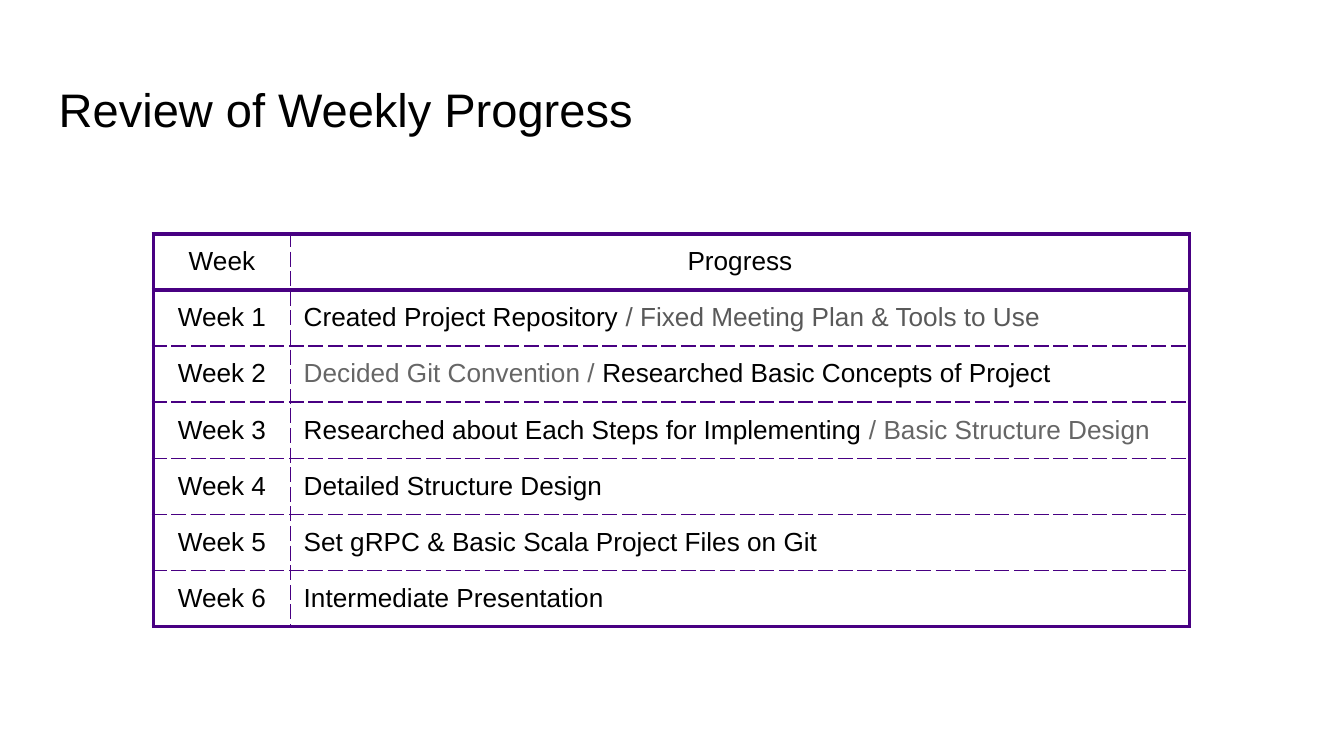
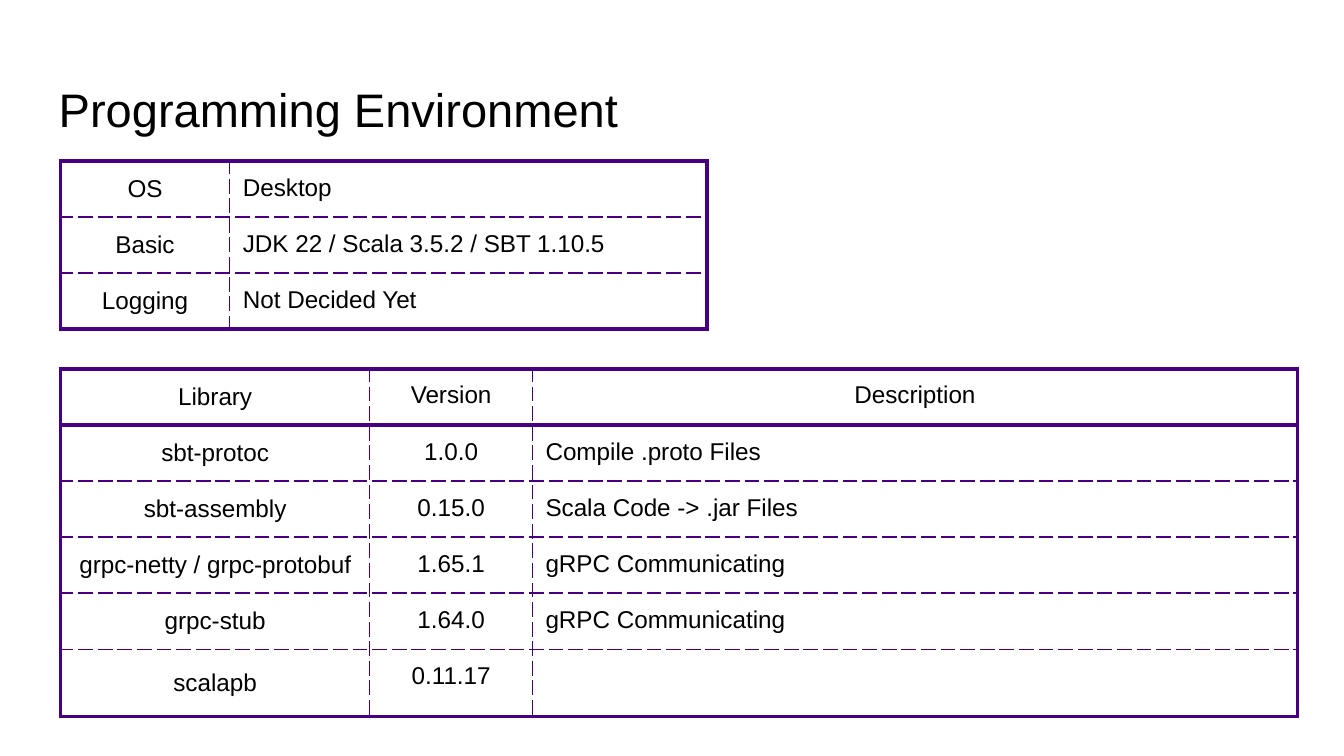
from lxml.etree import SubElement
from pptx import Presentation
from pptx.dml.color import RGBColor
from pptx.enum.text import MSO_ANCHOR, MSO_AUTO_SIZE, PP_ALIGN
from pptx.oxml.ns import qn
from pptx.util import Cm, Pt

BLACK = RGBColor(0x00, 0x00, 0x00)
DARK_GRAY = RGBColor(0x59, 0x59, 0x59)
GRAY = RGBColor(0x66, 0x66, 0x66)
PURPLE = RGBColor(0x48, 0x00, 0x82)

TITLE_ONLY = 5
INSET = Cm(0.25)
ROW_HEIGHT = Cm(1.06)
SOLID = (Pt(2.25), "solid")
DASHED = (Pt(0.75), "dash")

TITLE_PLACE = {"left": Cm(0.86), "top": Cm(1.24), "width": Cm(23.67), "height": Cm(1.6)}
CELL_FRAME = {
    "margin_left": INSET, "margin_right": INSET, "margin_top": INSET, "margin_bottom": INSET,
}
TITLE_FRAME = {
    **CELL_FRAME,
    "word_wrap": True, "auto_size": MSO_AUTO_SIZE.NONE, "vertical_anchor": MSO_ANCHOR.BOTTOM,
}

WEEKLY_PROGRESS = [
    ["Week", "Progress"],
    ["Week 1", [("Created Project Repository", BLACK),
                (" / Fixed Meeting Plan & Tools to Use", DARK_GRAY)]],
    ["Week 2", [("Decided Git Convention / ", GRAY),
                ("Researched Basic Concepts of Project", BLACK)]],
    ["Week 3", [("Researched about Each Steps for Implementing ", BLACK),
                ("/ Basic Structure Design", GRAY)]],
    ["Week 4", "Detailed Structure Design"],
    ["Week 5", "Set gRPC & Basic Scala Project Files on Git"],
    ["Week 6", "Intermediate Presentation"],
]
ENVIRONMENT = [
    ["OS", "Desktop"],
    ["Basic", "JDK 22 / Scala 3.5.2 / SBT 1.10.5"],
    ["Logging", "Not Decided Yet"],
]
LIBRARIES = [
    ["Library", "Version", "Description"],
    ["sbt-protoc", "1.0.0", "Compile .proto Files"],
    ["sbt-assembly", "0.15.0", "Scala Code -> .jar Files"],
    ["grpc-netty / grpc-protobuf", "1.65.1", "gRPC Communicating"],
    ["grpc-stub", "1.64.0", "gRPC Communicating"],
    ["scalapb", "0.11.17", ""],
]


def apply(target, values):
    for name, value in values.items():
        setattr(target, name, value)


class Deck:
    def __init__(self):
        self.presentation = Presentation()
        apply(self.presentation, {"slide_width": Cm(25.4), "slide_height": Cm(14.29)})
        self.slide = None

    def new_slide(self, title):
        layout = self.presentation.slide_layouts[TITLE_ONLY]
        self.slide = self.presentation.slides.add_slide(layout)
        heading = self.slide.shapes.title
        apply(heading, TITLE_PLACE)
        apply(heading.text_frame, TITLE_FRAME)
        self.add_text(heading.text_frame, title, 25.2, PP_ALIGN.LEFT)

    def add_text(self, frame, content, size, alignment):
        """Fill the first paragraph with a string or with (text, colour) pieces."""
        paragraph = frame.paragraphs[0]
        paragraph.alignment = alignment
        pieces = [(content, BLACK)] if isinstance(content, str) else content
        for text, color in pieces:
            if text:
                run = paragraph.add_run()
                run.text = text
                apply(run.font, {"name": "Arial", "size": Pt(size), "bold": False})
                run.font.color.rgb = color

    def border(self, cell, edges):
        properties = cell._tc.get_or_add_tcPr()
        for side in ("L", "R", "T", "B"):
            width, dash = edges[side]
            line = SubElement(properties, qn(f"a:ln{side}"), w=str(int(width)))
            fill = SubElement(line, qn("a:solidFill"))
            SubElement(fill, qn("a:srgbClr"), val=str(PURPLE))
            SubElement(line, qn("a:prstDash"), val=dash)

    def table(self, rows, left, top, widths, size, label_anchor, header=True, centered=1):
        """Draw a framed table; the first `centered` columns and the header are centred."""
        last_row, last_column = len(rows) - 1, len(widths) - 1
        grid = self.slide.shapes.add_table(
            len(rows), len(widths), left, top, sum(widths), ROW_HEIGHT * len(rows)).table
        apply(grid, {"first_row": header, "horz_banding": False})
        for column, width in zip(grid.columns, widths):
            column.width = width
        for r, row in enumerate(rows):
            for c, content in enumerate(row):
                cell = grid.cell(r, c)
                heading = header and r == 0
                self.border(cell, {
                    "L": SOLID if c == 0 else DASHED,
                    "R": SOLID if c == last_column else DASHED,
                    "T": SOLID if r == 0 or (header and r == 1) else DASHED,
                    "B": SOLID if r == last_row or heading else DASHED,
                })
                cell.fill.background()
                apply(cell, CELL_FRAME)
                cell.vertical_anchor = label_anchor if c == 0 else MSO_ANCHOR.TOP
                alignment = PP_ALIGN.CENTER if heading or c < centered else PP_ALIGN.LEFT
                self.add_text(cell.text_frame, content, size, alignment)


def main():
    deck = Deck()

    deck.new_slide("Review of Weekly Progress")
    deck.table(WEEKLY_PROGRESS, Cm(2.9), Cm(4.42), [Cm(2.59), Cm(16.99)], 14, MSO_ANCHOR.TOP)

    deck.new_slide("Programming Environment")
    deck.table(ENVIRONMENT, Cm(1.14), Cm(3.04), [Cm(3.2), Cm(9.02)], 13,
               MSO_ANCHOR.MIDDLE, header=False)
    deck.table(LIBRARIES, Cm(1.14), Cm(6.97), [Cm(5.85), Cm(3.07), Cm(14.46)], 13,
               MSO_ANCHOR.MIDDLE, centered=2)

    deck.presentation.save("out.pptx")


if __name__ == "__main__":
    main()
